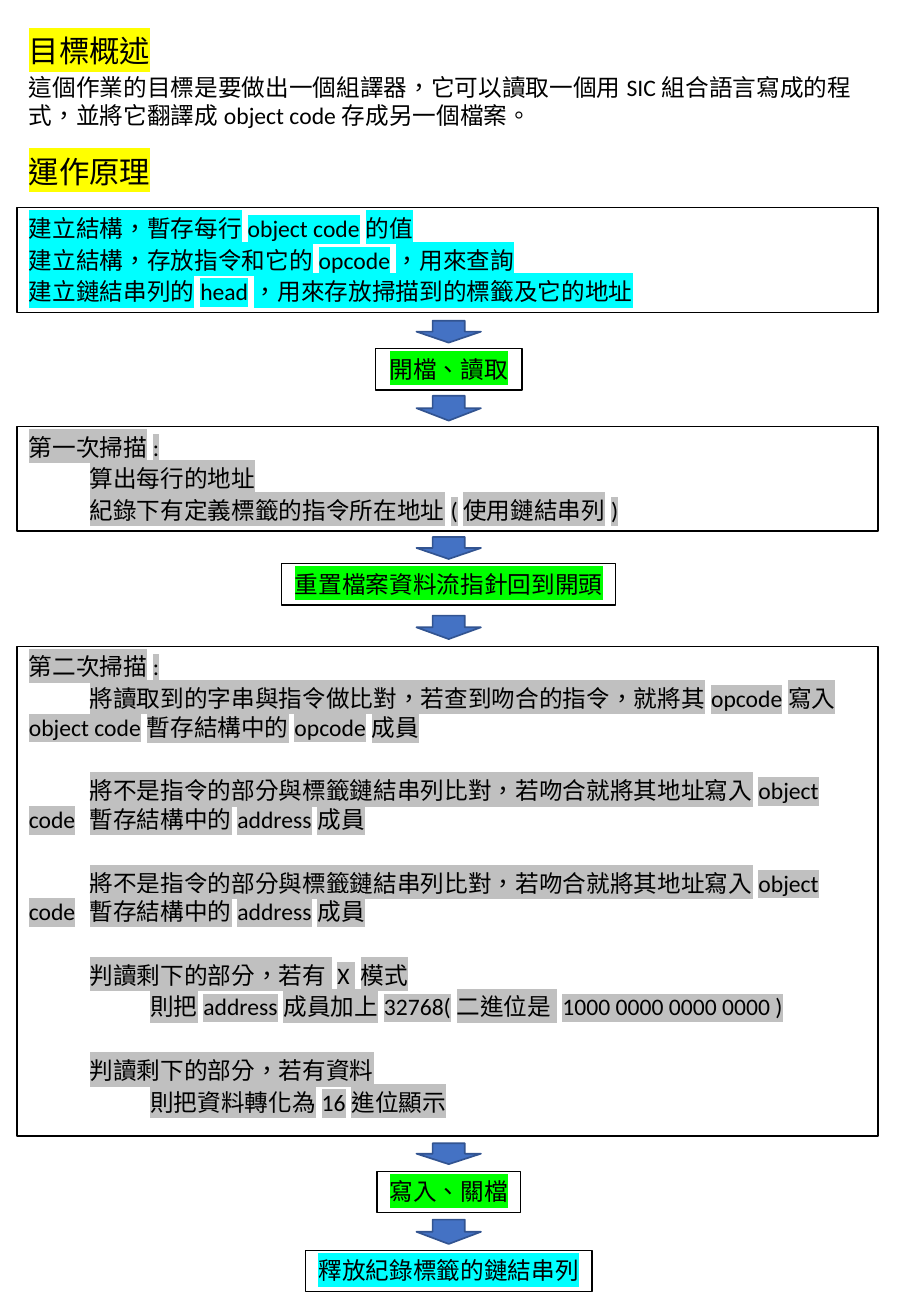
from lxml import etree
from pptx import Presentation
from pptx.dml.color import RGBColor
from pptx.enum.lang import MSO_LANGUAGE_ID
from pptx.enum.shapes import MSO_SHAPE
from pptx.enum.text import MSO_ANCHOR, MSO_AUTO_SIZE, PP_ALIGN
from pptx.oxml.ns import qn
from pptx.util import Pt

DOWN_ARROW = MSO_SHAPE.DOWN_ARROW
TOP = MSO_ANCHOR.TOP
GROW = MSO_AUTO_SIZE.SHAPE_TO_FIT_TEXT
LEFT, CENTER = PP_ALIGN.LEFT, PP_ALIGN.CENTER
CHINESE = MSO_LANGUAGE_ID.TRADITIONAL_CHINESE

COLORS = {
    "text": "000000",
    "yellow": "FFFF00",
    "cyan": "00FFFF",
    "green": "00FF00",
    "gray": "C0C0C0",
    "arrow": "4472C4",
    "arrow_line": "325491",
}
FONT = "Calibri"
MARGIN = 10
WIDE = 510.5
AXIS = 266
ARROW_WIDTH = 38.2
LABEL_HEIGHT = 24.5
INDENT = 36
LINE_GAP = 20

SETUP = [
    "建立結構，暫存每行object code的值",
    "建立結構，存放指令和它的opcode，用來查詢",
    "建立鏈結串列的head，用來存放掃描到的標籤及它的地址",
]
FIRST_SCAN = [
    ("第一次掃描:", 0, 1),
    ("算出每行的地址", 1, 1),
    ("紀錄下有定義標籤的指令所在地址(使用鏈結串列)", 1, 1),
]
COMPARE_LABELS = (
    "將不是指令的部分與標籤鏈結串列比對，若吻合就將其地址寫入object code\t暫存結構中的address成員",
    1, LINE_GAP)
SECOND_SCAN = [
    ("第二次掃描:", 0, 1),
    ("將讀取到的字串與指令做比對，若查到吻合的指令，就將其opcode寫入object code暫存結構中的opcode成員", 1, 1),
    COMPARE_LABELS,
    COMPARE_LABELS,
    ("判讀剩下的部分，若有 X 模式", 1, LINE_GAP),
    ("則把address成員加上32768(二進位是 1000 0000 0000 0000 )", 2, 1),
    ("判讀剩下的部分，若有資料", 1, LINE_GAP),
    ("則把資料轉化為16進位顯示", 2, 1),
]
LABELS = [
    ("開檔、讀取", 206.6, 87, "green", 0),
    ("重置檔案資料流指針回到開頭", 334.1, 198, "green", 0),
    ("寫入、關檔", 694.1, 85, "green", 0),
    ("釋放紀錄標籤的鏈結串列", 740.9, 170, "cyan", 1),
]
ARROWS = [(190, 13), (234.5, 14.7), (318.2, 13), (364.8, 13.9), (677.4, 12.4), (722.7, 14.4)]


def rgb(name):
    return RGBColor.from_string(COLORS[name])


def add_box(page, left, top, width, height, outlined=True):
    box = page.shapes.add_textbox(Pt(left), Pt(top), Pt(width), Pt(height))
    box.text_frame.word_wrap = True
    box.text_frame.auto_size = GROW
    box.text_frame.vertical_anchor = TOP
    if outlined:
        box.line.color.rgb = rgb("text")
        box.line.width = Pt(0.75)
    return box


def add_text(box, text, size=14, highlight=None, align=LEFT, level=0, before=1, after=1):
    frame = box.text_frame
    para = frame.add_paragraph() if frame.text else frame.paragraphs[0]
    para.alignment = align
    para.space_before, para.space_after = Pt(before), Pt(after)
    if level:
        properties = para._p.get_or_add_pPr()
        properties.set("marL", "0")
        properties.set("indent", str(Pt(level * INDENT)))
    span = para.add_run()
    span.text = text
    span.font.size = Pt(size)
    span.font.language_id = CHINESE
    span.font.color.rgb = rgb("text")
    if highlight:
        mark = etree.SubElement(span._r.get_or_add_rPr(), qn("a:highlight"))
        etree.SubElement(mark, qn("a:srgbClr"), val=COLORS[highlight])
    span.font.name = FONT


def add_scan(page, top, height, lines):
    box = add_box(page, MARGIN, top, WIDE, height)
    for text, level, before in lines:
        add_text(box, text, highlight="gray", level=level, before=before)


def add_label(page, text, top, width, highlight, spacing):
    box = add_box(page, AXIS - width / 2, top, width, LABEL_HEIGHT)
    box.text_frame.word_wrap = False
    add_text(box, text, highlight=highlight, align=CENTER, before=spacing, after=spacing)


def add_arrow(page, top, height):
    arrow = page.shapes.add_shape(
        DOWN_ARROW, Pt(AXIS - ARROW_WIDTH / 2), Pt(top), Pt(ARROW_WIDTH), Pt(height))
    arrow.shadow.inherit = False
    arrow.fill.solid()
    arrow.fill.fore_color.rgb = rgb("arrow")
    arrow.line.color.rgb = rgb("arrow_line")
    arrow.line.width = Pt(1)


def main():
    deck = Presentation()
    deck.slide_width, deck.slide_height = Pt(540), Pt(779.76)
    page = deck.slides.add_slide(deck.slide_layouts[6])

    goal = add_box(page, MARGIN, 15.8, WIDE, 64.8, outlined=False)
    add_text(goal, "目標概述", size=18, highlight="yellow")
    add_text(goal, "這個作業的目標是要做出一個組譯器，它可以讀取一個用SIC組合語言寫成的程式，"
                   "並將它翻譯成object code存成另一個檔案。")
    principle = add_box(page, MARGIN, 87.1, WIDE, 28.8, outlined=False)
    add_text(principle, "運作原理", size=18, highlight="yellow")

    setup = add_box(page, MARGIN, 123.1, WIDE, 62)
    for line in SETUP:
        add_text(setup, line, highlight="cyan")
    add_scan(page, 252.7, 62, FIRST_SCAN)
    add_scan(page, 383, 290.2, SECOND_SCAN)
    for label in LABELS:
        add_label(page, *label)
    for top, height in ARROWS:
        add_arrow(page, top, height)
    deck.save("out.pptx")


if __name__ == "__main__":
    main()
